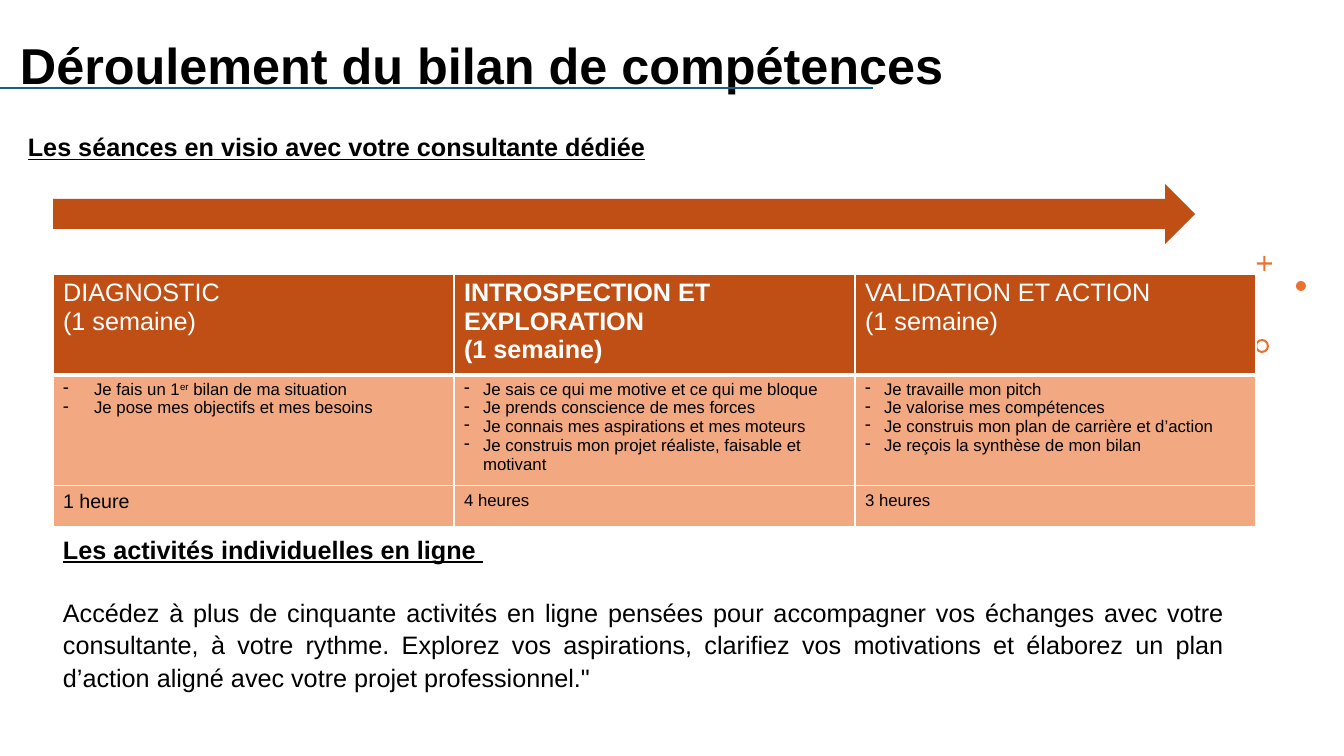
"""Build the slide presenting the steps of the skills assessment."""
from lxml import etree
from pptx import Presentation
from pptx.dml.color import RGBColor
from pptx.enum.shapes import MSO_CONNECTOR, MSO_SHAPE
from pptx.enum.text import MSO_ANCHOR, PP_ALIGN
from pptx.oxml.ns import qn
from pptx.util import Emu, Pt

PX = 914400 / 100.8
RUST, PEACH, ORANGE, TEAL = "BF4F14", "F2A982", "E97132", "156082"
BLACK, WHITE = "000000", "FFFFFF"


def px(*values):
    return [Emu(round(v * PX)) for v in values]


def style(p, size, color=BLACK, bold=False, underline=False):
    p.font.name = "Arial"
    p.font.size = Pt(size)
    p.font.bold = bold
    p.font.underline = underline
    p.font.color.rgb = RGBColor.from_string(color)


prs = Presentation()
prs.slide_width, prs.slide_height = px(1344, 756)
s = prs.slides.add_slide(prs.slide_layouts[6])

activities = (
    "Accédez à plus de cinquante activités en ligne pensées pour accompagner vos "
    "échanges avec votre consultante, à votre rythme. Explorez vos aspirations, "
    "clarifiez vos motivations et élaborez un plan d’action aligné avec votre "
    "projet professionnel.\""
)
texts = [
    ((10, 16, 1321, 84), MSO_ANCHOR.BOTTOM, 0.9, PP_ALIGN.LEFT,
     [("Déroulement du bilan de compétences", 36, True, False)]),
    ((18, 130, 1260, 40), MSO_ANCHOR.TOP, 0.9, PP_ALIGN.LEFT,
     [("Les séances en visio avec votre consultante dédiée", 18, True, True)]),
    ((53, 527, 1181, 163), MSO_ANCHOR.TOP, 1.07, PP_ALIGN.JUSTIFY,
     [("Les activités individuelles en ligne ", 18, True, True),
      (activities, 18, False, False)]),
]
for box, anchor, spacing, align, paragraphs in texts:
    tf = s.shapes.add_textbox(*px(*box)).text_frame
    tf.word_wrap = True
    tf.vertical_anchor = anchor
    for i, (text, size, bold, underline) in enumerate(paragraphs):
        p = tf.add_paragraph() if i else tf.paragraphs[0]
        p.text = text
        p.alignment = align
        p.line_spacing = spacing
        p.space_before = Pt(22 * i)
        style(p, size, BLACK, bold, underline)

rule = s.shapes.add_connector(MSO_CONNECTOR.STRAIGHT, *px(0, 88, 873, 88))
rule.line.width = Pt(2)
rule.line.color.rgb = RGBColor.from_string(TEAL)
etree.SubElement(rule._element.spPr, qn("a:effectLst"))

shapes = [
    (MSO_SHAPE.CROSS, (1257, 256, 15, 15), ORANGE, [0.43]),
    (MSO_SHAPE.OVAL, (1296, 281, 10, 10), ORANGE, []),
    (MSO_SHAPE.DONUT, (1255, 339, 14, 14), ORANGE, [0.15]),
    (MSO_SHAPE.RIGHT_ARROW, (53, 184, 1142, 60), RUST, [0.5, 0.5]),
]
for kind, box, color, adjustments in shapes:
    sp = s.shapes.add_shape(kind, *px(*box))
    sp.shadow.inherit = False
    sp.fill.solid()
    sp.fill.fore_color.rgb = RGBColor.from_string(color)
    sp.line.fill.background()
    for i, value in enumerate(adjustments):
        sp.adjustments[i] = value

steps = [
    (["DIAGNOSTIC", "(1 semaine)"], False,
     ["Je fais un 1^er^ bilan de ma situation",
      "Je pose mes objectifs et mes besoins"], 31, "1 heure", 14),
    (["INTROSPECTION ET EXPLORATION", "(1 semaine)"], True,
     ["Je sais ce qui me motive et ce qui me bloque",
      "Je prends conscience de mes forces",
      "Je connais mes aspirations et mes moteurs",
      "Je construis mon projet réaliste, faisable et motivant"], 19, "4 heures", 12),
    (["VALIDATION ET ACTION", "(1 semaine)"], False,
     ["Je travaille mon pitch",
      "Je valorise mes compétences",
      "Je construis mon plan de carrière et d’action",
      "Je reçois la synthèse de mon bilan"], 19, "3 heures", 12),
]
table = s.shapes.add_table(3, 3, *px(53, 274, 1203, 239)).table
table.first_row = table.horz_banding = False
for row, height in zip(table.rows, px(95, 103, 41)):
    row.height = height
for column in table.columns:
    column.width = px(401)[0]

for col, (heading, bold, points, indent, duration, size) in enumerate(steps):
    rows = [
        (heading, 18, WHITE, bold, RUST),
        (points, 12, BLACK, False, PEACH),
        ([duration], size, BLACK, False, PEACH),
    ]
    for row, (lines, pt, color, strong, fill) in enumerate(rows):
        cell = table.cell(row, col)
        for i, line in enumerate(lines):
            p = cell.text_frame.add_paragraph() if i else cell.text_frame.paragraphs[0]
            style(p, pt, color, strong)
            for j, part in enumerate(line.split("^")):
                r = p.add_run()
                r.text = part
                if j == 1:
                    r.font._element.set("baseline", "30000")
            if row == 1:
                pPr = p._p.get_or_add_pPr()
                pPr.set("marL", str(px(indent)[0]))
                pPr.set("indent", str(px(-indent)[0]))
                bullet = etree.Element(qn("a:buChar"), char="-")
                pPr.find(qn("a:defRPr")).addprevious(bullet)
        tcPr = cell._tc.get_or_add_tcPr()
        for side in "LRTB":
            thick = (row, side) in ((0, "B"), (1, "T"))
            ln = etree.SubElement(tcPr, qn(f"a:ln{side}"), w=str(Pt(3 if thick else 1)))
            solid = etree.SubElement(ln, qn("a:solidFill"))
            etree.SubElement(solid, qn("a:srgbClr"), val=WHITE)
        cell.fill.solid()
        cell.fill.fore_color.rgb = RGBColor.from_string(fill)

prs.save("out.pptx")
